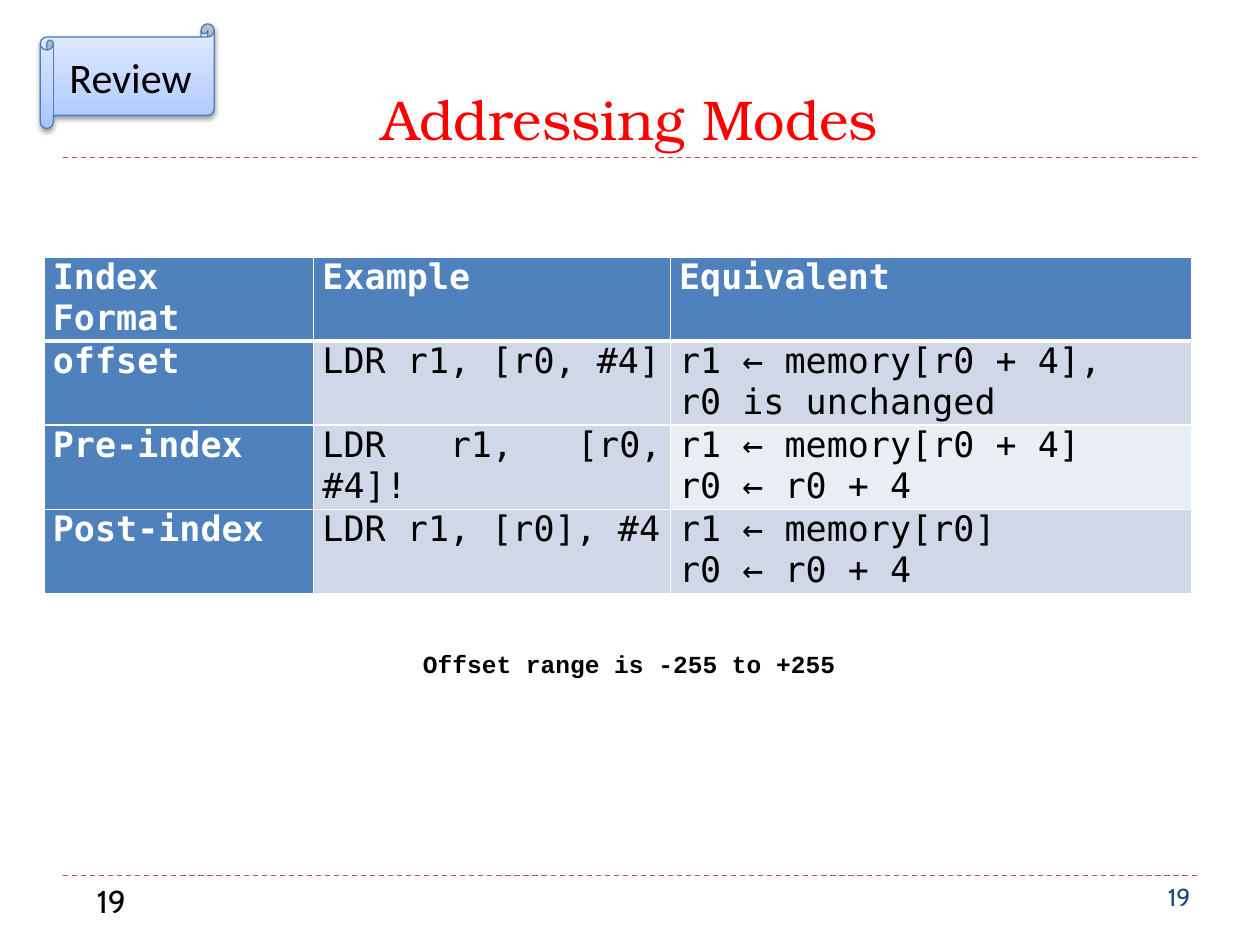
"""Build the addressing modes review slide."""
from lxml import etree
from pptx import Presentation
from pptx.dml.color import RGBColor
from pptx.enum.dml import MSO_LINE
from pptx.enum.shapes import MSO_CONNECTOR, MSO_SHAPE
from pptx.enum.text import MSO_ANCHOR, PP_ALIGN
from pptx.oxml.ns import qn
from pptx.util import Inches, Pt

LEFT, CENTER, JUSTIFY = PP_ALIGN.LEFT, PP_ALIGN.CENTER, PP_ALIGN.JUSTIFY
TOP, MIDDLE, BOTTOM = MSO_ANCHOR.TOP, MSO_ANCHOR.MIDDLE, MSO_ANCHOR.BOTTOM
STRAIGHT = MSO_CONNECTOR.STRAIGHT
SCROLL = MSO_SHAPE.HORIZONTAL_SCROLL
DASH = MSO_LINE.DASH

BLACK = RGBColor(0x00, 0x00, 0x00)
WHITE = RGBColor(0xFF, 0xFF, 0xFF)
RED = RGBColor(0xFF, 0x00, 0x00)
NAVY = RGBColor(0x1F, 0x49, 0x7D)
BLUE = RGBColor(0x4F, 0x81, 0xBD)
OUTLINE = RGBColor(0x4B, 0x7E, 0xBC)
RULE = RGBColor(0xC0, 0x50, 0x4D)
BAND = RGBColor(0xD0, 0xD8, 0xE8)
PALE = RGBColor(0xE9, 0xED, 0xF4)
SCROLL_STOPS = [(0, "A4C4FF"), (35, "BFD4FF"), (100, "E6EEFF")]

RULE_HEIGHTS = [6.95, 1.25]
TEXTS = [
    ("19", (9.17, 6.95, 0.83, 0.4), LEFT, TOP, True,
     {"size": Pt(14), "name": "Cabin"}, NAVY),
    ("Addressing Modes", (0.5, 0.17, 9, 1.08), CENTER, BOTTOM, True,
     {"size": Pt(32), "name": "TeX Gyre Bonum"}, RED),
    ("19", (0.67, 6.95, 2.17, 0.4), LEFT, TOP, True,
     {"size": Pt(18), "name": "Cabin"}, BLACK),
    ("Offset range is -255 to +255", (3.25, 5.1, 3.49, 0.34), CENTER, TOP, False,
     {"size": Pt(14), "name": "Courier New", "bold": True}, BLACK),
]
SCROLL_BOX = (0.32, 0.19, 1.38, 0.83)
SCROLL_FONT = {"size": Pt(24), "name": "Calibri"}

TABLE_BOX = (0.35, 2.04, 9.11, 2.33)
COLUMN_WIDTHS = [2.14, 2.83, 4.14]
TABLE_FONT = {"size": Pt(20), "name": "DejaVu Sans Mono"}
ROWS = [
    ("Index Format", "Example", "Equivalent"),
    ("offset", "LDR r1, [r0, #4]", "r1 ← memory[r0 + 4],\nr0 is unchanged"),
    ("Pre-index", "LDR r1, [r0, #4]!", "r1 ← memory[r0 + 4]\nr0 ← r0 + 4"),
    ("Post-index", "LDR r1, [r0], #4", "r1 ← memory[r0]\nr0 ← r0 + 4"),
]


def inches(box):
    return [Inches(value) for value in box]


def write(frame, text, alignment, font, color):
    frame.text = text
    for paragraph in frame.paragraphs:
        paragraph.alignment = alignment
        for name, value in font.items():
            setattr(paragraph.font, name, value)
        paragraph.font.color.rgb = color


def add_element(parent, tag, **attributes):
    return etree.SubElement(parent, qn(tag), attributes)


def add_rule(slide, height):
    rule = slide.shapes.add_connector(
        STRAIGHT, Inches(0.5), Inches(height), Inches(9.5), Inches(height))
    rule.line.color.rgb = RULE
    rule.line.width = Pt(0.75)
    rule.line.dash_style = DASH
    add_element(rule._element.spPr, "a:effectLst")


def add_text(slide, text, box, alignment, anchor, wrap, font, color):
    frame = slide.shapes.add_textbox(*inches(box)).text_frame
    frame.word_wrap = wrap
    frame.vertical_anchor = anchor
    write(frame, text, alignment, font, color)


def set_borders(cell, row):
    properties = cell._tc.get_or_add_tcPr()
    widths = {"L": 1, "R": 1, "T": 3 if row == 1 else 1, "B": 3 if row == 0 else 1}
    for side, width in widths.items():
        line = add_element(properties, f"a:ln{side}", w=str(Pt(width)))
        fill = add_element(line, "a:solidFill")
        add_element(fill, "a:srgbClr", val=str(WHITE))


def add_table(slide):
    table = slide.shapes.add_table(
        len(ROWS), len(COLUMN_WIDTHS), *inches(TABLE_BOX)).table
    for column, width in zip(table.columns, COLUMN_WIDTHS):
        column.width = Inches(width)
    for row, texts in enumerate(ROWS):
        for column, text in enumerate(texts):
            cell = table.cell(row, column)
            heading = row == 0 or column == 0
            cell.margin_left = cell.margin_right = Inches(0.07)
            cell.margin_top = cell.margin_bottom = 0
            write(cell.text_frame, text, JUSTIFY, {**TABLE_FONT, "bold": heading},
                  WHITE if heading else BLACK)
            set_borders(cell, row)
            cell.fill.solid()
            body = PALE if (row, column) == (2, 2) else BAND
            cell.fill.fore_color.rgb = BLUE if heading else body


def add_scroll(slide):
    scroll = slide.shapes.add_shape(SCROLL, *inches(SCROLL_BOX))
    scroll.line.color.rgb = OUTLINE
    scroll.line.width = Pt(0.75)
    scroll.fill.gradient()
    scroll.fill.gradient_angle = 90
    properties = scroll._element.spPr
    stops = properties.find(qn("a:gradFill")).find(qn("a:gsLst"))
    for stop in list(stops):
        stops.remove(stop)
    for position, color in SCROLL_STOPS:
        stop = add_element(stops, "a:gs", pos=str(position * 1000))
        add_element(stop, "a:srgbClr", val=color)
    scroll.shadow.inherit = False
    shadow = add_element(
        properties.find(qn("a:effectLst")), "a:outerShdw", blurRad=str(Pt(3.1)),
        dist=str(Pt(1.6)), dir="5400000", rotWithShape="0")
    shade = add_element(shadow, "a:srgbClr", val=str(BLACK))
    add_element(shade, "a:alpha", val="38000")
    scroll.text_frame.vertical_anchor = MIDDLE
    write(scroll.text_frame, "Review", CENTER, SCROLL_FONT, BLACK)


def main():
    presentation = Presentation()
    presentation.slide_width, presentation.slide_height = Inches(10), Inches(7.5)
    slide = presentation.slides.add_slide(presentation.slide_layouts[6])
    for height in RULE_HEIGHTS:
        add_rule(slide, height)
    for text in TEXTS:
        add_text(slide, *text)
    add_table(slide)
    add_scroll(slide)
    presentation.save("out.pptx")


if __name__ == "__main__":
    main()
